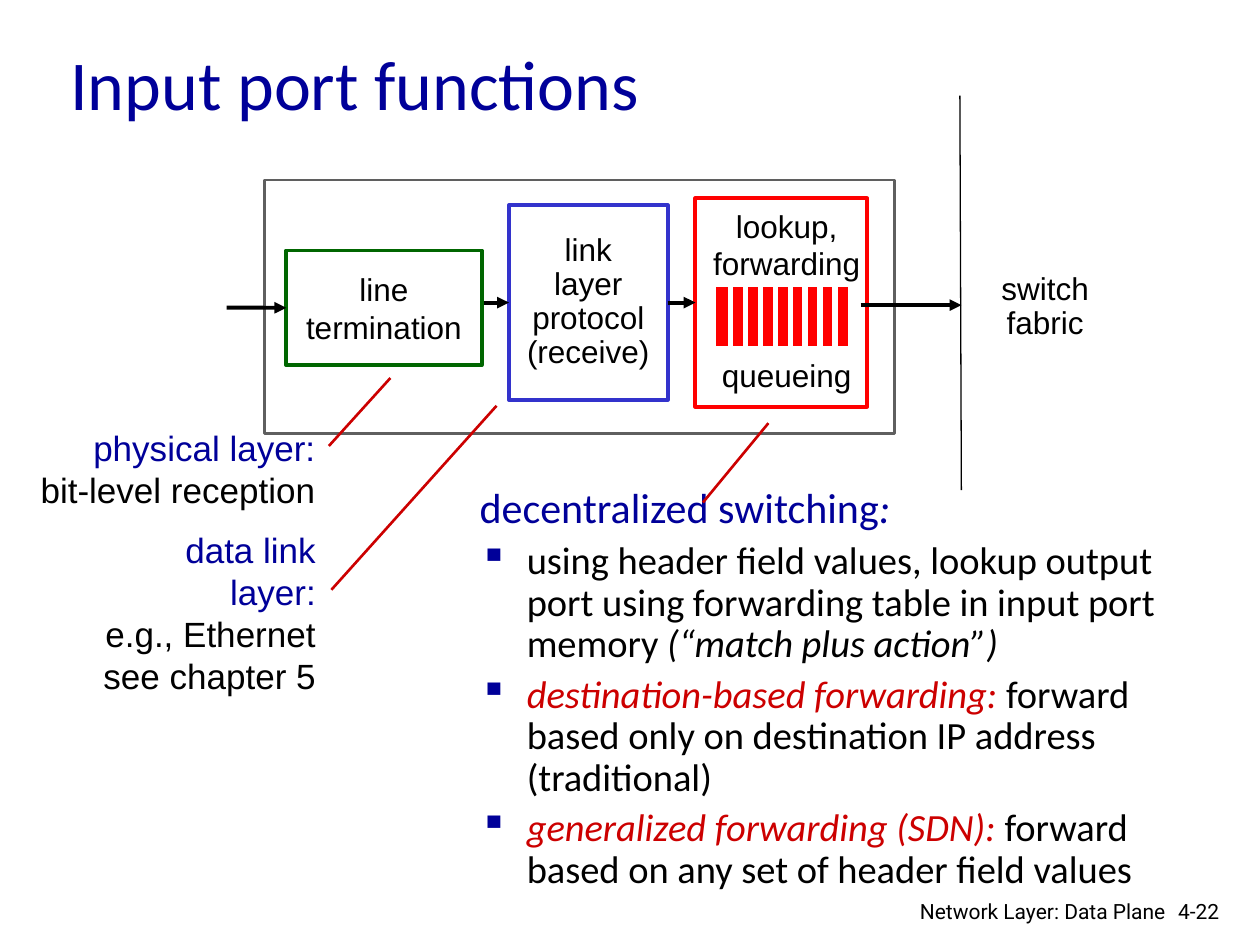
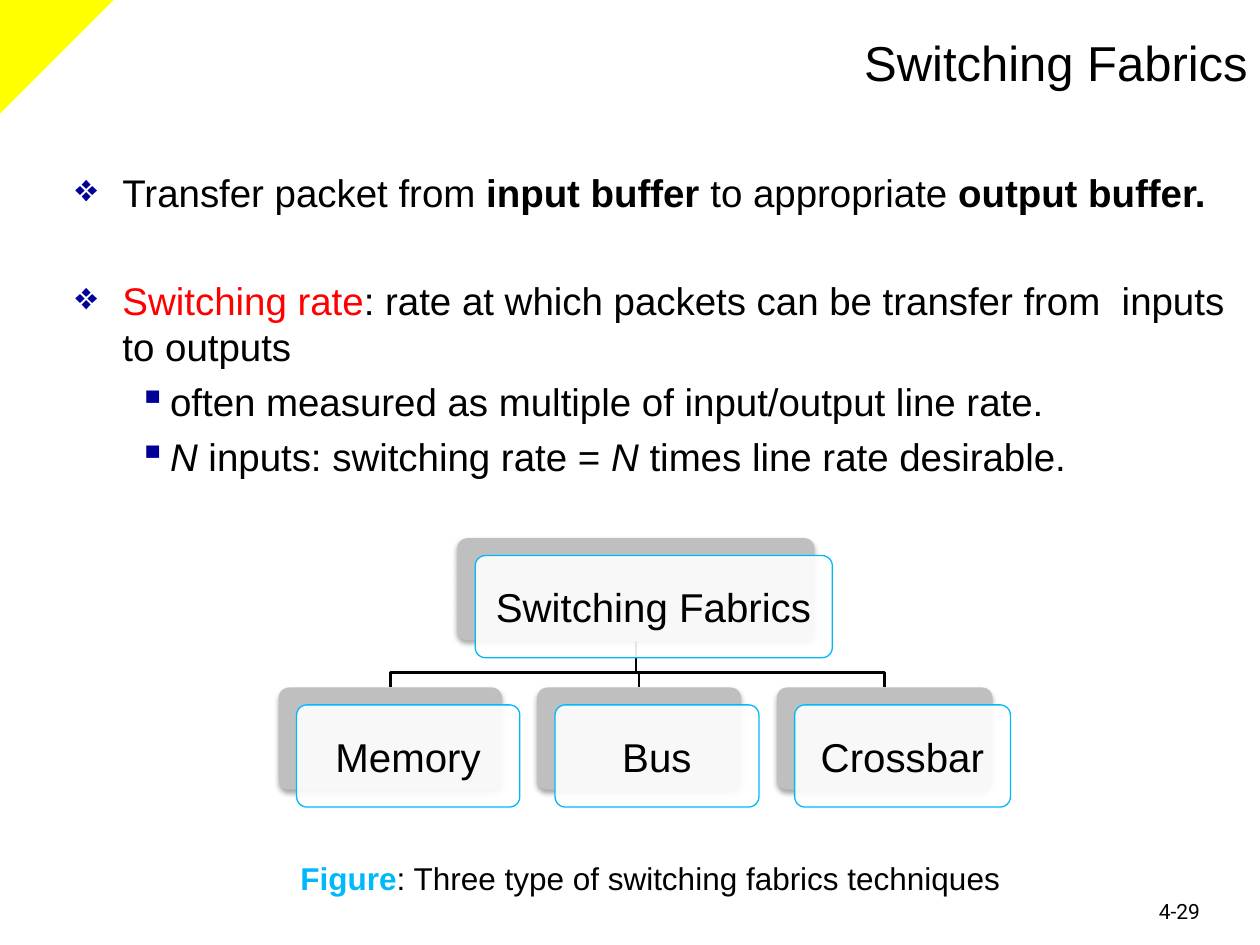
from dataclasses import dataclass

from lxml import etree
from pptx import Presentation
from pptx import util as u
from pptx.dml.color import RGBColor
from pptx.enum import shapes, text
from pptx.oxml import ns

Cm, Pt = u.Cm, u.Pt
KIND = shapes.MSO_SHAPE
LEFT, MID, RIGHT = text.PP_ALIGN.LEFT, text.PP_ALIGN.CENTER, text.PP_ALIGN.RIGHT
CENTER = text.MSO_ANCHOR.MIDDLE


@dataclass(frozen=True)
class Theme:
    black: str = "000000"
    white: str = "FFFFFF"
    navy: str = "000099"
    red: str = "FF0000"
    crimson: str = "CC0000"
    green: str = "006600"
    blue: str = "3333CC"
    frame: str = "5F5F5F"
    grey: str = "BFBFBF"
    cyan: str = "00B9FA"
    yellow: str = "FFFF00"
    sans: str = "Arial"
    body: str = "Calibri"
    small: str = "Roboto"
    title: int = 40
    head: int = 28
    lead: int = 24
    node: int = 23
    main: int = 22
    note: int = 20
    label: int = 18
    foot: int = 12


T = Theme()


def rgb(code):
    return RGBColor.from_string(code)


def sub(parent, tag, **attrs):
    return etree.SubElement(parent, ns.qn(tag), **attrs)


def write(frame, runs, size=T.label, font=T.sans, color=T.black, align=LEFT,
          line=None, before=None, bullet=None, left=0.0, hang=0.0):
    """Add one paragraph; runs is a string or (text, format) pairs."""
    par = frame.paragraphs[0]
    if par.runs:
        par = frame.add_paragraph()
    if bullet:
        props = par._p.get_or_add_pPr()
        props.set("marL", str(Cm(left)))
        props.set("indent", str(-Cm(hang)))
        sub(sub(props, "a:buClr"), "a:srgbClr", val=T.navy)
        sub(props, "a:buChar", char=bullet)
    par.alignment = align
    if line:
        par.line_spacing = line
    if before:
        par.space_before = Pt(before)
    for words, style in [(runs, {})] if isinstance(runs, str) else runs:
        run = par.add_run()
        run.text = words
        run.font.name = font
        run.font.size = Pt(size)
        run.font.color.rgb = rgb(style.get("color", color))
        run.font.bold = style.get("bold", False)
        run.font.italic = style.get("italic", False)


def field(slide, left, top, width, height, lines=(), wrap=True, anchor=None, **form):
    """Add a text box and return its text frame."""
    frame = slide.shapes.add_textbox(Cm(left), Cm(top), Cm(width), Cm(height)).text_frame
    frame.word_wrap = wrap
    if anchor is not None:
        frame.vertical_anchor = anchor
    for line in lines:
        write(frame, line, **form)
    return frame


def box(pool, left, top, width, height, fill=T.white, edge=None, weight=2.25,
        kind=KIND.RECTANGLE, lines=(), **form):
    item = pool.add_shape(kind, Cm(left), Cm(top), Cm(width), Cm(height))
    item.shadow.inherit = False
    item.fill.solid()
    item.fill.fore_color.rgb = rgb(fill)
    if edge:
        item.line.color.rgb = rgb(edge)
        item.line.width = Pt(weight)
    else:
        item.line.fill.background()
    frame = item.text_frame
    frame.word_wrap = False
    frame.vertical_anchor = CENTER
    for line in lines:
        write(frame, line, align=MID, **form)
    return item


def rule(pool, x1, y1, x2, y2, color=T.black, weight=2.25, arrow=False,
         start=None, end=None):
    """Add a line; start and end are (shape, site) pairs to join."""
    item = pool.add_connector(shapes.MSO_CONNECTOR.STRAIGHT,
                              Cm(x1), Cm(y1), Cm(x2), Cm(y2))
    if start:
        item.begin_connect(*start)
    if end:
        item.end_connect(*end)
    item.line.color.rgb = rgb(color)
    item.line.width = Pt(weight)
    if arrow:
        sub(item.line._get_or_add_ln(), "a:tailEnd", type="triangle")
    sub(item._element.spPr, "a:effectLst")


def foot(slide, number, left, label=None):
    form = dict(size=T.foot, font=T.small)
    field(slide, left, 17.98, 1.88, 0.76, [number], **form)
    if label:
        field(slide, 17.7, 17.98, 6.05, 0.66, [label], align=RIGHT, **form)


def queue(slide):
    pool = slide.shapes.add_group_shape().shapes
    box(pool, 14.38, 5.74, 2.77, 1.3, T.red, T.white, 3)
    for step in range(8):
        x = 14.73 + 0.3 * step
        rule(pool, x, 5.76, x, 7.0, T.white, 3)


def ports(slide):
    """Draw the stages of an input port and the arrows through them."""
    pool = slide.shapes
    box(pool, 5.33, 3.63, 12.7, 5.11, edge=T.frame, weight=1.5)
    term = box(pool, 5.77, 5.05, 3.94, 2.31, edge=T.green,
               lines=["line", "termination"])
    link = box(pool, 10.26, 4.14, 3.2, 3.92, edge=T.blue, line=0.9,
               lines=["link", "layer", "protocol", "(receive)"])
    look = box(pool, 14.02, 4.0, 3.46, 4.2, edge=T.red)
    rule(pool, 4.57, 6.2, 5.77, 6.2, arrow=True, end=(term, 1))
    rule(pool, 9.75, 6.1, 10.26, 6.1, arrow=True, end=(link, 1))
    rule(pool, 13.46, 6.1, 14.02, 6.1, arrow=True, start=(link, 3), end=(look, 1))
    rule(pool, 17.35, 6.15, 19.38, 6.15, arrow=True)
    frame = field(slide, 14.12, 4.04, 3.48, 4.06, ["lookup,", "forwarding"],
                  wrap=False, align=MID)
    write(frame, "queueing", align=MID, before=42)
    queue(slide)
    rule(pool, 19.35, 1.93, 19.38, 9.88, weight=0.75)
    field(slide, 19.61, 5.05, 2.92, 2.31, ["switch", "fabric"], wrap=False,
          anchor=CENTER, align=MID, line=0.9)


def notes(slide):
    """Name the layers and point at their stages."""
    navy = dict(color=T.navy)
    form = dict(wrap=False, size=T.note, align=RIGHT)
    field(slide, 0.56, 8.48, 6.05, 1.96,
          [[("physical layer:", navy)], "bit-level reception"], **form)
    field(slide, 1.57, 10.52, 5.05, 2.79,
          [[("data link layer:", navy)], "e.g., Ethernet", "see chapter 5"], **form)
    for ends in ((6.63, 8.99, 7.87, 7.62), (6.68, 11.89, 10.01, 8.18),
                 (14.17, 10.13, 15.49, 8.53)):
        rule(slide.shapes, *ends, color=T.crimson, weight=1.5)


def input_port(slide):
    ports(slide)
    field(slide, 1.17, 0.81, 21.59, 1.7, ["Input port functions"], anchor=CENTER,
          size=T.title, font=T.body, color=T.navy)
    slant = dict(italic=True)
    key = dict(italic=True, color=T.crimson)
    frame = field(slide, 9.42, 9.7, 15.16, 7.42,
                  [[("decentralized switching", {}), (":", slant)]],
                  size=T.lead, font=T.body, color=T.navy, line=0.9)
    points = [
        [("using header field values, lookup output port using forwarding table "
          "in input port memory ", {}), ("(“match plus action”)", slant)],
        [("destination-based forwarding: ", key),
         ("forward based only on destination IP address (traditional)", {})],
        [("generalized forwarding (SDN): ", key),
         ("forward based on any set of header field values", {})],
    ]
    for point in points:
        write(frame, point, size=T.main, font=T.body, line=0.9, before=5,
              bullet="▪", left=0.95, hang=0.95)
    notes(slide)
    foot(slide, "4-22", 23.5, "Network Layer: Data Plane")


def card(pool, words, left, top, width):
    """Draw a see-through plate over a shaded back."""
    height, shift = 2.06, 0.36
    back = box(pool, left, top, width, height, T.grey, kind=KIND.ROUNDED_RECTANGLE)
    glow = sub(back._element.spPr.find(ns.qn("a:effectLst")), "a:outerShdw",
               blurRad=str(Pt(3.1)), dist=str(Pt(1.8)), dir="5400000", rotWithShape="0")
    sub(sub(glow, "a:srgbClr", val=T.black), "a:alpha", val="35000")
    plate = box(pool, left + shift, top + shift - 0.01, width, height, edge=T.cyan,
                weight=0.75, kind=KIND.ROUNDED_RECTANGLE, lines=[words], size=T.node)
    tint = plate._element.spPr.find(ns.qn("a:solidFill"))[0]
    sub(tint, "a:alpha", val="90000")
    for item in (back, plate):
        item.adjustments[0] = 0.1


def tree(slide):
    pool = slide.shapes.add_group_shape().shapes
    root, row = 12.82, 13.86
    kids = [("Memory", 5.62, 4.5), ("Bus", 10.83, 4.11), ("Crossbar", 15.66, 4.35)]
    for _, left, width in reversed(kids):
        x = left + width / 2
        path = pool.build_freeform(Cm(root), Cm(12.92))
        path.add_line_segments([(Cm(root), Cm(13.56)), (Cm(x), Cm(13.56)),
                                (Cm(x), Cm(row))], close=False)
        bend = path.convert_to_shape()
        bend.shadow.inherit = False
        bend.fill.background()
        bend.line.color.rgb = rgb(T.black)
        bend.line.width = Pt(1.5)
    card(pool, "Switching Fabrics", 9.22, 10.85, 7.2)
    for name, left, width in kids:
        card(pool, name, left, row, width)


def fabrics(slide):
    foot(slide, "4-29", 23.11)
    bold, slant = dict(bold=True), dict(italic=True)
    frame = field(slide, 1.27, 3.28, 23.72, 6.93)
    main = dict(bullet="❖", left=0.95, hang=0.95, size=T.main)
    minor = dict(bullet="▪", left=1.91, hang=0.64, size=T.main, before=5)
    write(frame, [("Transfer packet from ", {}), ("input buffer", bold),
                  (" to appropriate ", {}), ("output buffer.", bold)], **main)
    write(frame, [("Switching rate", dict(color=T.red)),
                  (": rate at which packets can be transfer from  inputs to outputs",
                   {})], before=35.5, **main)
    write(frame, "often measured as multiple of input/output line rate.", **minor)
    write(frame, [("N", slant), (" inputs: switching rate = ", {}), ("N", slant),
                  (" times line rate desirable.", {})], **minor)
    field(slide, 10.82, 0.38, 14.58, 1.75, ["Switching Fabrics"], anchor=CENTER,
          size=T.head, align=RIGHT)
    tree(slide)
    field(slide, 3.56, 17.3, 19.1, 1.27,
          [[("Figure", dict(bold=True, color=T.cyan)),
            (": Three type of switching fabrics techniques", {})]],
          align=MID, line=0.85)
    wedge = box(slide.shapes, 0, 0, 2.29, 2.29, T.yellow, kind=KIND.RIGHT_TRIANGLE)
    wedge.rotation = 90


def main():
    deck = Presentation()
    deck.slide_width, deck.slide_height = Cm(25.4), Cm(19.05)
    for draw in (input_port, fabrics):
        draw(deck.slides.add_slide(deck.slide_layouts[6]))
    deck.save("out.pptx")


if __name__ == "__main__":
    main()
